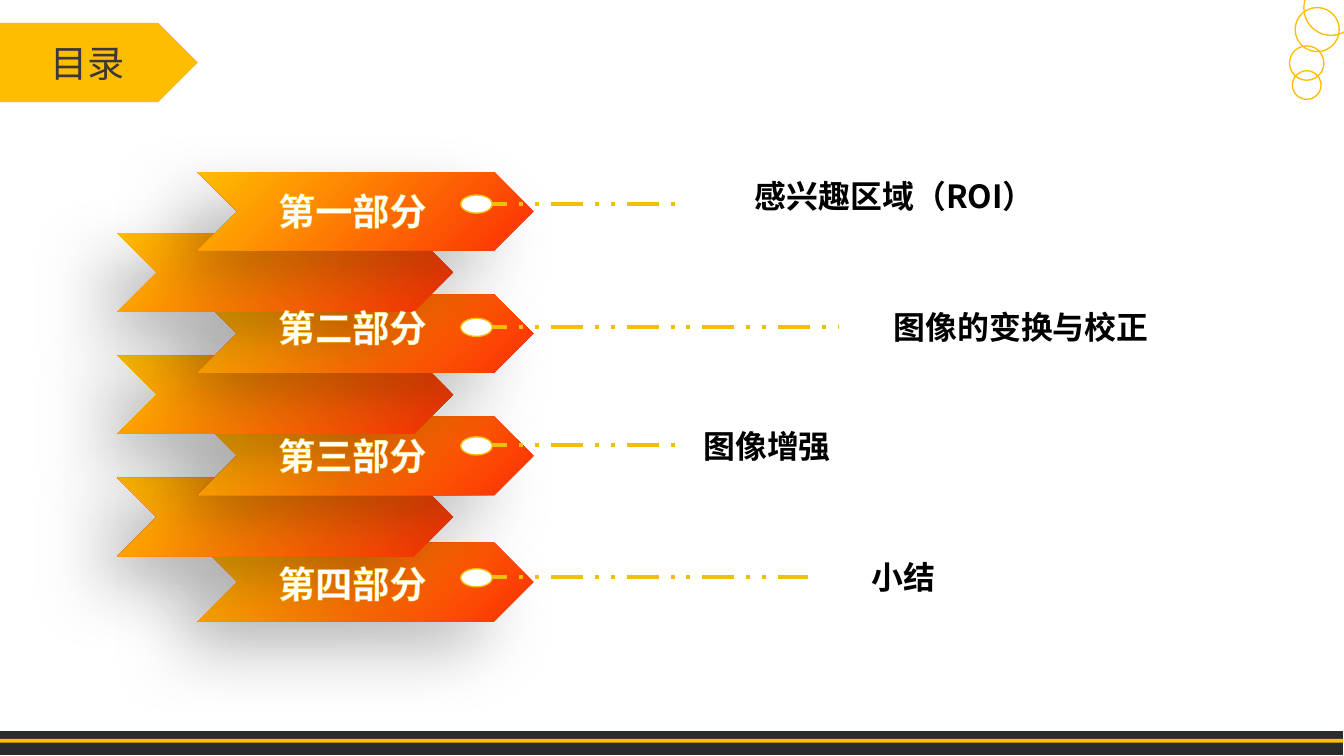
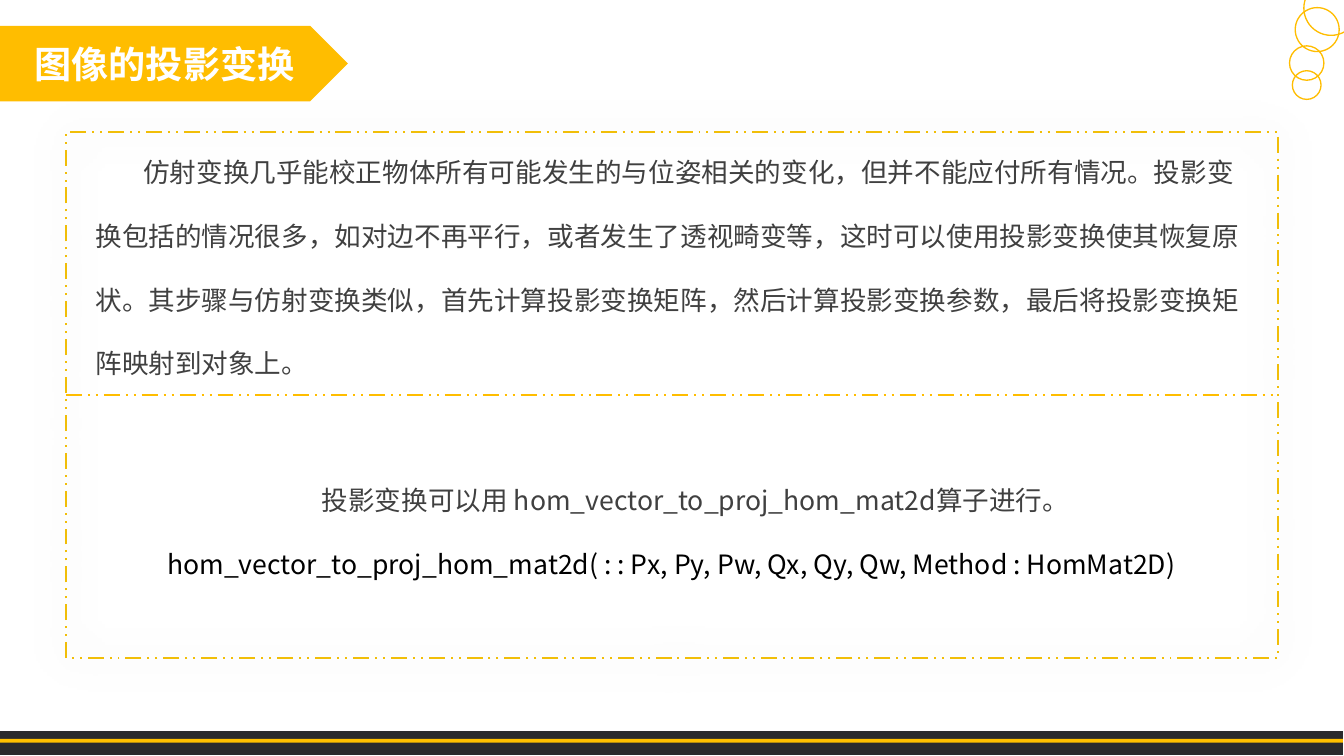
from lxml import etree
from pptx import Presentation
from pptx.dml.color import RGBColor
from pptx.enum.dml import MSO_LINE
from pptx.enum.shapes import MSO_CONNECTOR, MSO_SHAPE
from pptx.enum.text import MSO_ANCHOR, PP_ALIGN
from pptx.oxml.ns import qn
from pptx.util import Inches, Pt

RECT, OVAL = MSO_SHAPE.RECTANGLE, MSO_SHAPE.OVAL
TAG, CHEVRON = MSO_SHAPE.PENTAGON, MSO_SHAPE.CHEVRON
STRAIGHT, DASH = MSO_CONNECTOR.STRAIGHT, MSO_LINE.DASH_DOT_DOT
LEFT, CENTER = PP_ALIGN.LEFT, PP_ALIGN.CENTER
TOP, MIDDLE = MSO_ANCHOR.TOP, MSO_ANCHOR.MIDDLE

SLIDE_W, SLIDE_H = 14.06, 7.91
FONT = "Noto Sans CJK SC"
AMBER, BAND, GOLD, RED = "FFBD00", "FFC000", "F1BE08", "FB2E05"
DARK, TITLE, BODY, BLACK, WHITE = "2A2B2D", "3B3838", "404040", "000000", "FFFFFF"

SECTIONS = [
    ("第一部分", "感兴趣区域（ROI）", 0, 0.12, 0.33, 7.13, (7.8, 1.8, 5.84, 0.5)),
    ("第二部分", "图像的变换与校正", 1.28, 1.34, 1.62, 8.77, (9.25, 3.17, 4.6, 0.5)),
    ("第三部分", "图像增强", 2.56, 2.68, 2.86, 7.13, (7.26, 4.41, 5.52, 0.5)),
    ("第四部分", "小结", 3.88, 4.02, 4.24, 8.45, (9.02, 5.79, 4.47, 0.5)),
]
INTRO = (
    "仿射变换几乎能校正物体所有可能发生的与位姿相关的变化，但并不能应付所有情况。"
    "投影变换包括的情况很多，如对边不再平行，或者发生了透视畸变等，"
    "这时可以使用投影变换使其恢复原状。其步骤与仿射变换类似，首先计算投影变换矩阵，"
    "然后计算投影变换参数，最后将投影变换矩阵映射到对象上。"
)
OPERATOR = [
    ("投影变换可以用 hom_vector_to_proj_hom_mat2d算子进行。", BODY),
    ("hom_vector_to_proj_hom_mat2d( : : Px, Py, Pw, Qx, Qy, Qw, Method : HomMat2D)", BLACK),
]


def rgb(value):
    return RGBColor.from_string(value)


def child(parent, tag, **attrs):
    el = etree.SubElement(parent, qn(tag))
    for name, value in attrs.items():
        el.set(name, str(value))
    return el


def add_color(parent, value, alpha=None):
    clr = child(child(parent, "a:solidFill") if alpha is None else parent, "a:srgbClr", val=value)
    if alpha is not None:
        child(clr, "a:alpha", val=alpha * 1000)


def set_line(line, color, width, dashed=False):
    line.color.rgb = rgb(color)
    line.width = Pt(width)
    if dashed:
        line.dash_style = DASH


def add_shape(shapes, kind, box, fill=None, line=None, width=1, dashed=False):
    sp = shapes.add_shape(kind, *map(Inches, box))
    sp.shadow.inherit = False
    if fill:
        sp.fill.solid()
        sp.fill.fore_color.rgb = rgb(fill)
    else:
        sp.fill.background()
    if line:
        set_line(sp.line, line, width, dashed)
    else:
        sp.line.fill.background()
    return sp


def add_shadow(sp, alpha, blur, dist=0, angle=0):
    effects = sp._element.spPr.find(qn("a:effectLst"))
    shadow = child(effects, "a:outerShdw", blurRad=Pt(blur), dist=Pt(dist),
                   dir=angle * 60000, algn="ctr", rotWithShape=0)
    add_color(shadow, BLACK, alpha)


def add_gradient(sp, start, end):
    spPr = sp._element.spPr
    grad = etree.Element(qn("a:gradFill"), rotWithShape="1")
    stops = child(grad, "a:gsLst")
    for pos, color in ((0, start), (100000, end)):
        child(child(stops, "a:gs", pos=pos), "a:srgbClr", val=color)
    child(child(grad, "a:path", path="circle"), "a:fillToRect", r=100000, b=100000)
    spPr.replace(spPr.find(qn("a:noFill")), grad)


def add_line(shapes, x1, y1, x2, y2, color, width):
    cx = shapes.add_connector(STRAIGHT, *map(Inches, (x1, y1, x2, y2)))
    set_line(cx.line, color, width, True)
    child(cx._element.spPr, "a:effectLst")


def write(sp, text, size=20, color=BODY, bold=False, font=FONT, align=LEFT,
          anchor=TOP, wrap=True, indent=0, spacing=None, outline=None):
    tf = sp.text_frame
    tf.word_wrap = wrap
    tf.vertical_anchor = anchor
    p = tf.paragraphs[0]
    p.alignment = align
    if indent:
        p._p.get_or_add_pPr().set("indent", str(Inches(indent)))
    if spacing:
        p.line_spacing = spacing
    for words, shade in [(text, color)] if isinstance(text, str) else text:
        r = p.add_run()
        r.text = words
        r.font.size = Pt(size)
        r.font.bold = bold
        r.font.color.rgb = rgb(shade)
        r.font.name = font
        rPr = r._r.get_or_add_rPr()
        child(rPr, "a:ea", typeface=FONT)
        if outline:
            ln = etree.Element(qn("a:ln"), w=str(Pt(0.8)))
            add_color(ln, outline)
            rPr.insert(0, ln)


def add_text(shapes, box, text, **fmt):
    write(shapes.add_textbox(*map(Inches, box)), text, **fmt)


def add_bands(s, box):
    x, y, w, h = box
    for top, height, color in ((0, 0.09, DARK), (0.08, 0.09, BAND), (0.12, h - 0.12, DARK)):
        add_shape(s.shapes, RECT, (x, y + top, w, height), color)


def add_rings(s, box):
    x, y, w, h = box
    rings = s.shapes.add_group_shape().shapes
    for dx, dy, d in ((0.15, 0, 0.57), (0.06, 0.28, 0.46), (0, 0.68, 0.36), (0.03, 0.94, 0.3)):
        add_shape(rings, OVAL, (x + dx, y + dy, d, d), line=AMBER)


def new_slide(prs):
    s = prs.slides.add_slide(prs.slide_layouts[6])
    add_bands(s, (-0.01, SLIDE_H - 0.26, SLIDE_W, 0.25))
    add_rings(s, (13.49, -0.2, 0.72, 1.24))
    return s


def add_ribbons(s, box):
    x, y, w, h = box
    shift, length, height = 0.84, 3.51, 0.82
    for i, section in reversed(list(enumerate(SECTIONS))):
        spots = [(x + shift, y + section[2])]
        if i:
            spots.append((x, y + 0.64 + 1.28 * (i - 1)))
        for left, top in spots:
            sp = add_shape(s.shapes, CHEVRON, (left, top, length, height))
            add_gradient(sp, AMBER, RED)
            add_shadow(sp, 25, 52, 34, 140)


def add_entries(s, box):
    x, y, w, h = box
    for label, topic, _, label_y, pin_y, line_end, topic_box in SECTIONS:
        pin = s.shapes.add_group_shape().shapes
        add_line(pin, x + 3.74, y + pin_y, line_end, y + pin_y, GOLD, 3)
        add_shape(pin, OVAL, (x + 3.59, y + pin_y - 0.09, 0.33, 0.19), WHITE, GOLD)
        add_text(s.shapes, topic_box, topic, size=24, color=BLACK, bold=True)
        add_text(s.shapes, (x + 1.53, y + label_y, 1.85, 0.57), label, size=28,
                 color=WHITE, bold=True, align=CENTER, outline=AMBER)


def contents_slide(prs):
    s = new_slide(prs)
    add_shape(s.shapes, TAG, (0, 0.24, 2.07, 0.83), AMBER)
    add_text(s.shapes, (0.43, 0.37, 0.99, 0.57), "目录", size=28, color=TITLE, wrap=False)
    area = (1.23, 1.8, 4.35, 4.7)
    add_ribbons(s, area)
    add_entries(s, area)


def add_panel(s, box):
    x, y, w, h = box
    left, width = x + 0.21, w - 0.43
    fmt = {"indent": 0.5, "spacing": 2.0}
    add_text(s.shapes, (left, y - 0.13, width, 2.79), INTRO, **fmt)
    frame = add_shape(s.shapes, RECT, box, line=GOLD, width=1.5, dashed=True)
    add_shadow(frame, 30, 30)
    add_line(s.shapes, x, y + h / 2, x + w, y + h / 2, AMBER, 1.5)
    add_text(s.shapes, (left, y + 3.3, width, 2.12), OPERATOR, align=CENTER, **fmt)


def projection_slide(prs):
    s = new_slide(prs)
    tag = add_shape(s.shapes, TAG, (0, 0.27, 3.64, 0.79), AMBER)
    write(tag, "图像的投影变换", size=28, color=WHITE, bold=True, font="Arial",
          align=CENTER, anchor=MIDDLE)
    add_panel(s, (0.69, 1.38, 12.68, 5.51))


def main():
    prs = Presentation()
    prs.slide_width, prs.slide_height = Inches(SLIDE_W), Inches(SLIDE_H)
    contents_slide(prs)
    projection_slide(prs)
    prs.save("out.pptx")


if __name__ == "__main__":
    main()
